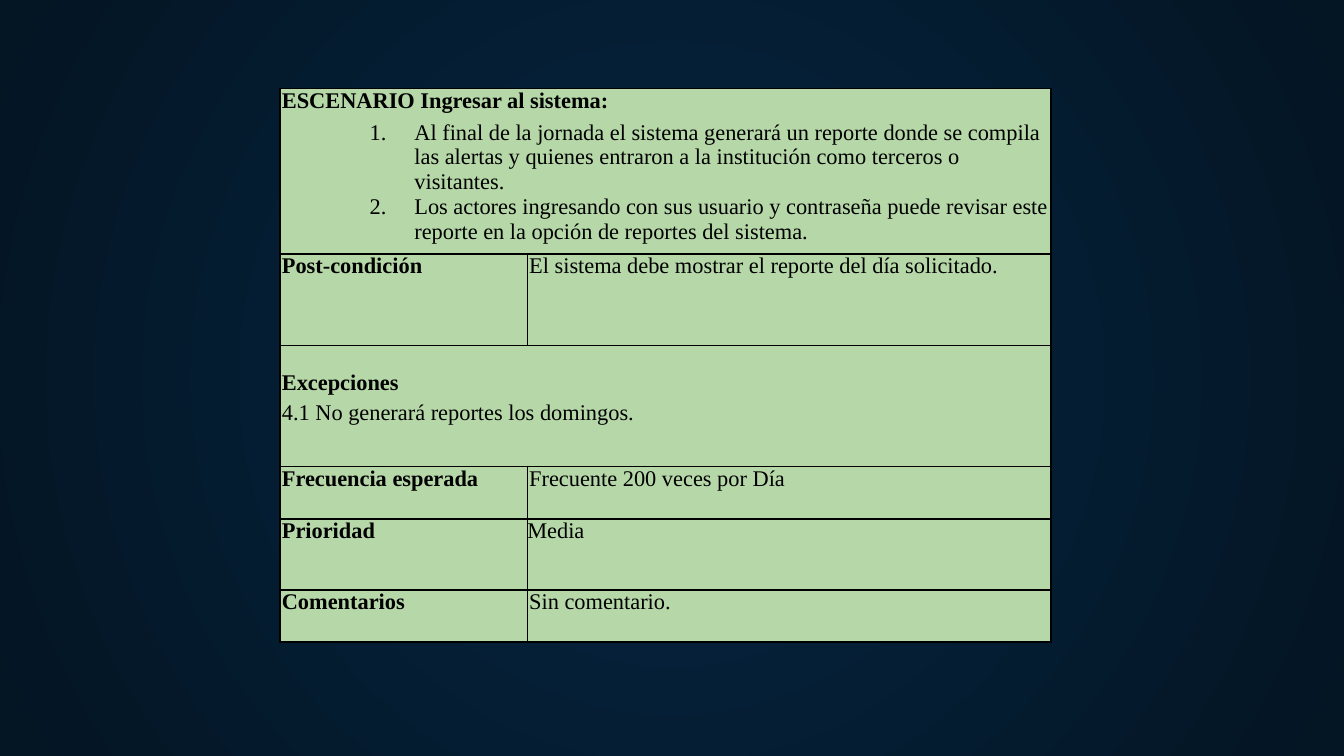
from lxml import etree
from pptx import Presentation
from pptx.dml.color import RGBColor
from pptx.enum.text import MSO_ANCHOR, PP_ALIGN
from pptx.oxml.ns import qn
from pptx.util import Pt

TOP, LEFT = MSO_ANCHOR.TOP, PP_ALIGN.LEFT
BLANK_LAYOUT = 6
FONT = "Times New Roman"
COLORS = {"center": "052643", "edge": "041523", "cell": "B6D7A8", "ink": "000000"}

COLUMNS = [132.5, 280.5]
# Height, label and value of each row; a value of None marks a full-width row
SCENARIO_HEIGHT, EXCEPTIONS_HEIGHT = 88.5, 65
SCENARIO = "ESCENARIO Ingresar al sistema:"
STEPS = [
    "Al final de la jornada el sistema generará un reporte donde se compila "
    "las alertas y quienes entraron a la institución como terceros o visitantes.",
    "Los actores ingresando con sus usuario y contraseña puede revisar este "
    "reporte en la opción de reportes del sistema.",
]
FIELDS = {
    1: (49, "Post-condición", "El sistema debe mostrar el reporte del día solicitado."),
    3: (28, "Frecuencia esperada", "Frecuente 200 veces por Día"),
    4: (38, "Prioridad", "Media"),
    5: (28, "Comentarios", "Sin comentario."),
}


def rgb(name):
    return RGBColor.from_string(COLORS[name])


def write(frame, text, first=False, bold=False, before=0, margin=1, numbered=False):
    """Write one paragraph into a text frame."""
    paragraph = frame.paragraphs[0] if first else frame.add_paragraph()
    properties = paragraph._p.get_or_add_pPr()
    if numbered:
        properties.set("marL", str(Pt(72)))
        properties.set("indent", str(Pt(-24)))
        etree.SubElement(properties, qn("a:buFont"), typeface=FONT)
        etree.SubElement(properties, qn("a:buAutoNum"), type="arabicPeriod")
    else:
        properties.set("marL", str(Pt(margin)))
        properties.set("indent", "0")
    paragraph.alignment = LEFT
    if before:
        paragraph.space_before = Pt(before)
    run = paragraph.add_run()
    run.text = text
    run.font.name, run.font.size, run.font.bold = FONT, Pt(12), bold
    run.font.color.rgb = rgb("ink")


def format_cell(cell, top_width=1):
    """Fill a cell, clear its margins and draw its borders."""
    cell.margin_left = cell.margin_right = cell.margin_top = cell.margin_bottom = 0
    cell.vertical_anchor = TOP
    cell.fill.solid()
    cell.fill.fore_color.rgb = rgb("cell")
    properties = cell._tc.get_or_add_tcPr()
    widths = {"lnL": 1, "lnR": 1, "lnT": top_width, "lnB": 1}
    for position, (side, width) in enumerate(widths.items()):
        line = etree.Element(qn(f"a:{side}"), w=str(Pt(width)))
        fill = etree.SubElement(line, qn("a:solidFill"))
        etree.SubElement(fill, qn("a:srgbClr"), val=COLORS["ink"])
        properties.insert(position, line)


def paint_background(slide):
    """Radial gradient, lighter in the middle."""
    fill = slide.background.fill
    fill.gradient()
    for stop, name, position in zip(fill.gradient_stops, ("center", "edge"), (0, 1)):
        stop.color.rgb = rgb(name)
        stop.position = position
    gradient = next(slide.element.iter(qn("a:gradFill")))
    gradient.remove(gradient.find(qn("a:lin")))
    circle = etree.SubElement(gradient, qn("a:path"), path="circle")
    etree.SubElement(circle, qn("a:fillToRect"), l="50000", t="50000", r="50000", b="50000")


def add_use_case(slide, left, top):
    """Use case table with its corner at the given point."""
    heights = [SCENARIO_HEIGHT, FIELDS[1][0], EXCEPTIONS_HEIGHT]
    heights += [FIELDS[row][0] for row in (3, 4, 5)]
    table = slide.shapes.add_table(
        len(heights), len(COLUMNS), Pt(left), Pt(top), Pt(sum(COLUMNS)), Pt(sum(heights))
    ).table
    table.first_row = table.horz_banding = False
    for column, width in zip(table.columns, COLUMNS):
        column.width = Pt(width)
    for row, height in zip(table.rows, heights):
        row.height = Pt(height)

    # Full-width rows
    scenario, exceptions = table.cell(0, 0), table.cell(2, 0)
    for cell, row in ((scenario, 0), (exceptions, 2)):
        cell.merge(table.cell(row, 1))
    for cell in table.iter_cells():
        if not cell.is_spanned:
            format_cell(cell, top_width=0.75 if cell is scenario else 1)

    write(scenario.text_frame, SCENARIO, first=True, bold=True)
    for step, before in zip(STEPS, (3.5, 0)):
        write(scenario.text_frame, step, before=before, numbered=True)

    exceptions.margin_top = Pt(13.5)
    write(exceptions.text_frame, "Excepciones", first=True, bold=True)
    write(exceptions.text_frame, "4.1 No generará reportes los domingos.", before=3)

    # Label and value rows
    for row, (_, label, value) in FIELDS.items():
        write(table.cell(row, 0).text_frame, label, first=True, bold=True)
        write(table.cell(row, 1).text_frame, value, first=True,
              margin=0 if value == "Media" else 1)


def main():
    deck = Presentation()
    deck.slide_width, deck.slide_height = Pt(720), Pt(405)
    slide = deck.slides.add_slide(deck.slide_layouts[BLANK_LAYOUT])
    paint_background(slide)
    add_use_case(slide, left=150, top=47.5)
    deck.save("out.pptx")


if __name__ == "__main__":
    main()
